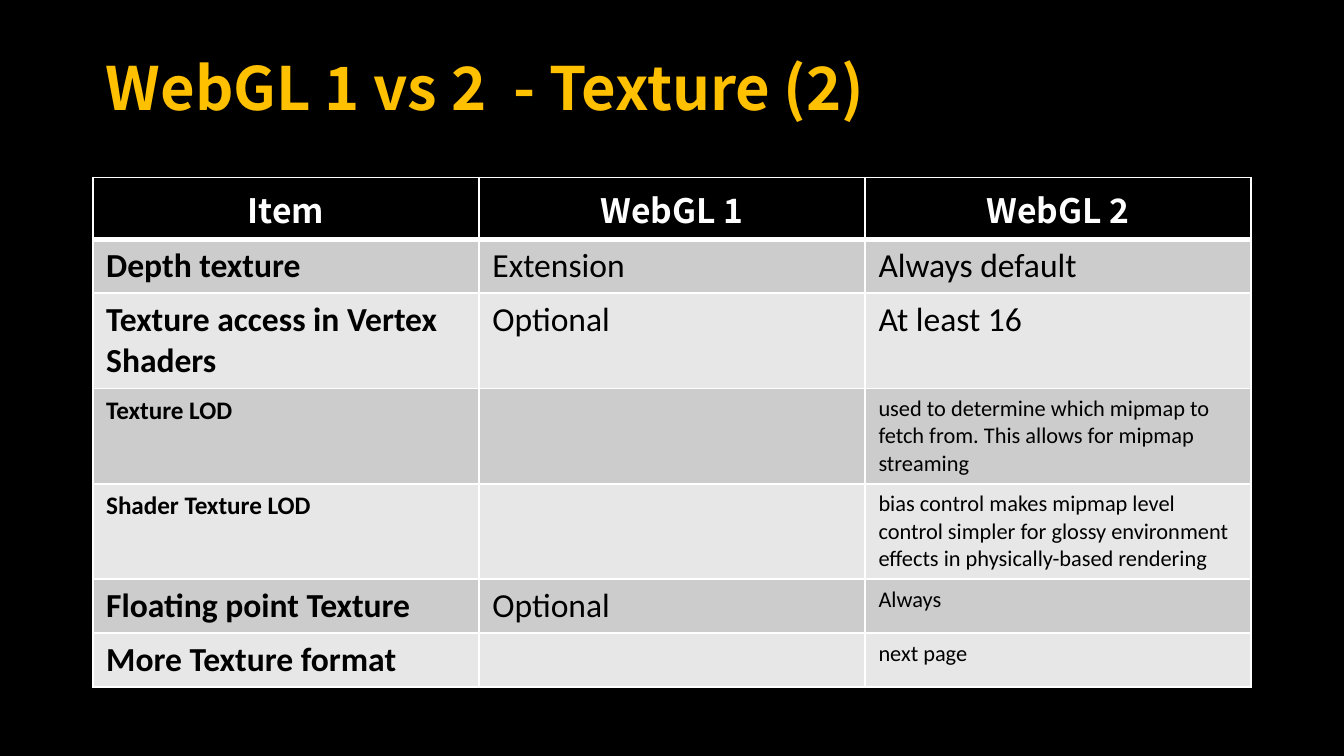
from dataclasses import dataclass

from lxml.etree import SubElement
from pptx import Presentation
from pptx.dml.color import RGBColor
from pptx.enum.text import MSO_ANCHOR, PP_ALIGN
from pptx.oxml.ns import qn
from pptx.util import Inches, Pt

BLACK = RGBColor(0x00, 0x00, 0x00)
WHITE = RGBColor(0xFF, 0xFF, 0xFF)
GOLD = RGBColor(0xFF, 0xC0, 0x00)
DARK_BAND = RGBColor(0xCC, 0xCC, 0xCC)
LIGHT_BAND = RGBColor(0xE7, 0xE7, 0xE7)

HEADING_FONT = "Noto Sans CJK KR"
BODY_FONT = "Calibri"
PAGE_WIDTH = 10
PAGE_HEIGHT = PAGE_WIDTH * 9 / 16
LEFT, WIDTH = 0.69, 8.62
HEADERS = ("Item", "WebGL 1", "WebGL 2")
HEADER_HEIGHT = 0.46


@dataclass(frozen=True)
class Feature:
    item: str
    webgl1: str
    webgl2: str
    height: float = 0.4
    item_size: float = 18
    webgl2_size: float = 18


FEATURES = (
    Feature("Depth texture", "Extension", "Always default"),
    Feature("Texture access in Vertex Shaders", "Optional", "At least 16", height=0.71),
    Feature("Texture LOD", "",
            "used to determine which mipmap to fetch from. "
            "This allows for mipmap streaming",
            height=0.71, item_size=13.5, webgl2_size=12),
    Feature("Shader Texture LOD", "",
            "bias control makes mipmap level control simpler for glossy "
            "environment effects in physically-based rendering",
            height=0.71, item_size=13.5, webgl2_size=12),
    Feature("Floating point Texture", "Optional", "Always", webgl2_size=12),
    Feature("More Texture format", "", "next page", webgl2_size=12),
)


def write_text(frame, text: str, *, size: float = 18, font: str = BODY_FONT,
               color: RGBColor = BLACK, bold: bool = False,
               align: PP_ALIGN = PP_ALIGN.LEFT, spacing: float = 1.0) -> None:
    para = frame.paragraphs[0]
    para.alignment = align
    para.line_spacing = spacing
    if not text:
        return
    span = para.add_run()
    span.text = text
    span.font.size = Pt(size)
    span.font.name = font
    span.font.bold = bold
    span.font.color.rgb = color


def style_cell(cell, fill: RGBColor, *, top: float = 1, bottom: float = 1) -> None:
    """Draw white borders, with widths in points, then the fill."""
    properties = cell._tc.get_or_add_tcPr()
    for side, width in (("L", 1), ("R", 1), ("T", top), ("B", bottom)):
        line = SubElement(properties, qn(f"a:ln{side}"), w=str(Pt(width)))
        solid = SubElement(line, qn("a:solidFill"))
        SubElement(solid, qn("a:srgbClr"), val=str(WHITE))
    cell.fill.solid()
    cell.fill.fore_color.rgb = fill


def add_title(page, text: str) -> None:
    box = page.shapes.add_textbox(Inches(LEFT), Inches(0.3), Inches(WIDTH), Inches(0.76))
    frame = box.text_frame
    frame.word_wrap = True
    frame.vertical_anchor = MSO_ANCHOR.MIDDLE
    write_text(frame, text, size=32, font=HEADING_FONT, color=GOLD, bold=True, spacing=0.9)


def add_comparison(page) -> None:
    height = HEADER_HEIGHT + sum(feature.height for feature in FEATURES)
    table = page.shapes.add_table(
        len(FEATURES) + 1, len(HEADERS),
        Inches(LEFT), Inches(1.32), Inches(WIDTH), Inches(height)).table

    # Header row
    table.rows[0].height = Inches(HEADER_HEIGHT)
    for cell, header in zip(table.rows[0].cells, HEADERS):
        style_cell(cell, BLACK, bottom=3)
        write_text(cell.text_frame, header, font=HEADING_FONT, color=WHITE,
                   bold=True, align=PP_ALIGN.CENTER)

    # Banded feature rows
    for index, feature in enumerate(FEATURES):
        row = table.rows[index + 1]
        row.height = Inches(feature.height)
        texts = (feature.item, feature.webgl1, feature.webgl2)
        sizes = (feature.item_size, 18, feature.webgl2_size)
        for column, (cell, text, size) in enumerate(zip(row.cells, texts, sizes)):
            style_cell(cell, LIGHT_BAND if index % 2 else DARK_BAND,
                       top=1 if index else 3)
            write_text(cell.text_frame, text, size=size, bold=column == 0)


def main() -> None:
    deck = Presentation()
    deck.slide_width, deck.slide_height = Inches(PAGE_WIDTH), Inches(PAGE_HEIGHT)
    page = deck.slides.add_slide(deck.slide_layouts[6])
    page.background.fill.solid()
    page.background.fill.fore_color.rgb = BLACK
    add_title(page, "WebGL 1 vs 2  - Texture (2)")
    add_comparison(page)
    deck.save("out.pptx")


if __name__ == "__main__":
    main()
